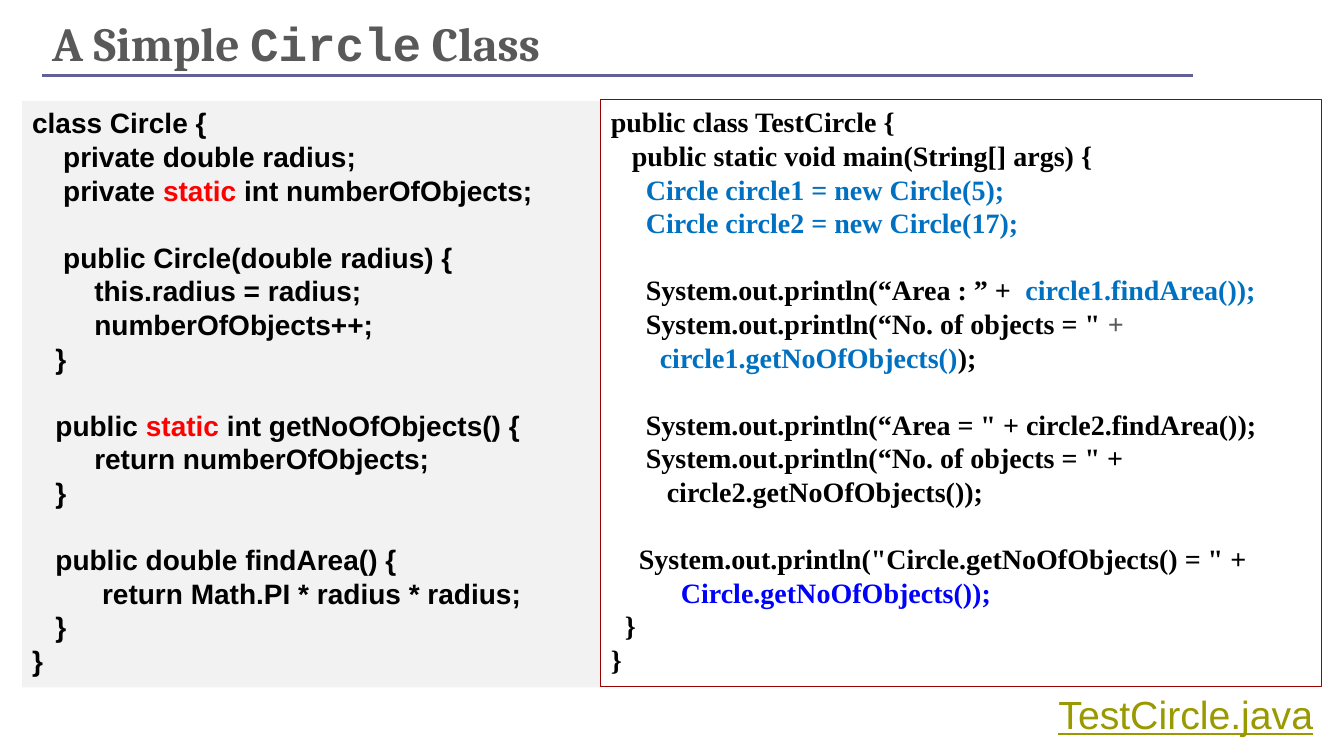
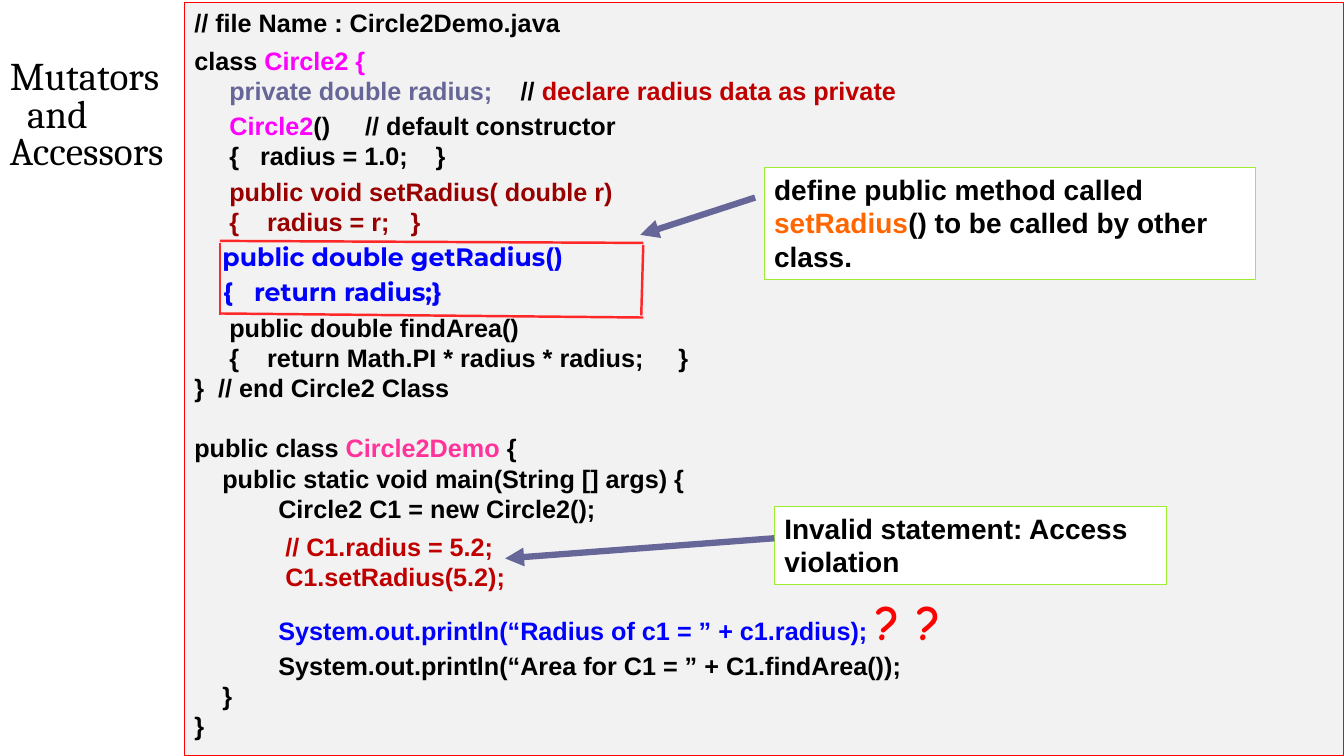
import pptx
import pptx.dml.color
import pptx.enum.shapes
import pptx.enum.text
import pptx.oxml.ns
import pptx.util
import lxml.etree

Inches = pptx.util.Inches
Pt = pptx.util.Pt
Anchor = pptx.enum.text.MSO_ANCHOR

BLACK, WHITE, GREY, PANEL = "000000", "FFFFFF", "595959", "F2F2F2"
RED, DARK_RED, CRIMSON = "FF0000", "990000", "C00000"
BLUE, SKY, SLATE, MAGENTA = "0000FF", "0070C0", "666699", "FF00FF"
LIME = "9DED33"


def rgb(value):
    return pptx.dml.color.RGBColor.from_string(value)


def add_panel(slide, at, lines, face, size, fill=None, outline=None,
              bold=True, anchor=Anchor.TOP, spacing=None):
    place = [Inches(value) for value in at]
    if fill or outline:
        panel = slide.shapes.add_shape(pptx.enum.shapes.MSO_SHAPE.RECTANGLE, *place)
        panel.shadow.inherit = False
        if fill:
            panel.fill.solid()
            panel.fill.fore_color.rgb = rgb(fill)
        else:
            panel.fill.background()
        if outline:
            panel.line.color.rgb = rgb(outline)
            panel.line.width = Pt(0.75)
        else:
            panel.line.fill.background()
    else:
        panel = slide.shapes.add_textbox(*place)
    frame = panel.text_frame
    frame.word_wrap = True
    frame.vertical_anchor = anchor
    for number, (gap, *parts) in enumerate(lines):
        paragraph = frame.add_paragraph() if number else frame.paragraphs[0]
        paragraph.alignment = pptx.enum.text.PP_ALIGN.LEFT
        if gap:
            paragraph.space_before = Pt(gap)
        if spacing:
            paragraph.line_spacing = spacing
        paragraph.font.bold = bold
        styles = [(colour, *(special or (face, size))) for _, colour, *special in parts]
        fonts = [paragraph.font]
        if len(set(styles)) > 1:
            fonts = []
        for (text, *_), style in zip(parts, styles):
            run = paragraph.add_run()
            run.text = text
            if len(set(styles)) > 1:
                fonts.append(run.font)
        for font, (colour, name, points) in zip(fonts, styles):
            font.name = name
            font.size = Pt(points)
            font.color.rgb = rgb(colour)
    return panel


deck = pptx.Presentation()
deck.slide_width = Inches(13.33)
deck.slide_height = Inches(7.5)
circle_slide, accessor_slide = [deck.slides.add_slide(deck.slide_layouts[6]) for _ in range(2)]

LINE_20 = 24
LINE_18 = 21.5

add_panel(circle_slide, (0.42, 0.08, 8.5, 0.67), [
    (0, ("A Simple ", GREY), ("Circle", GREY, "Courier New", 34), (" Class", GREY)),
], "Cambria", 34, anchor=Anchor.BOTTOM, spacing=0.8)

file_label = add_panel(circle_slide, (10.4, 6.8, 2.86, 0.57), [
    (0, ("TestCircle.java", "999900")),
], "Arial", 28, bold=False)
file_label.text_frame.paragraphs[0].font.underline = True

add_panel(circle_slide, (0.22, 1, 5.74, 5.82), [
    (0, ("class Circle {", BLACK)),
    (0, ("    private double radius;", BLACK)),
    (0, ("    private ", BLACK), ("static", RED), (" int numberOfObjects;", BLACK)),
    (LINE_20, ("    public Circle(double radius) {", BLACK)),
    (0, ("        this.radius = radius;", BLACK)),
    (0, ("        numberOfObjects++;", BLACK)),
    (0, ("   }", BLACK)),
    (LINE_20, ("   public ", BLACK), ("static", RED), (" int getNoOfObjects() {", BLACK)),
    (0, ("        return numberOfObjects;", BLACK)),
    (0, ("   }", BLACK)),
    (LINE_20, ("   public double findArea() {", BLACK)),
    (0, ("         return Math.PI * radius * radius;", BLACK)),
    (0, ("   }", BLACK)),
    (0, ("}", BLACK)),
], "Arial", 20, fill=PANEL)

add_panel(circle_slide, (5.96, 0.99, 7.15, 5.82), [
    (0, ("public class TestCircle {", BLACK)),
    (0, ("   public static void main(String[] args) {", BLACK)),
    (0, ("     Circle circle1 = new Circle(5);", SKY)),
    (0, ("     Circle circle2 = new Circle(17);", SKY)),
    (LINE_20, ("     System.out.println(“Area : ” +  ", BLACK), ("circle1.findArea());", SKY)),
    (0, ("     System.out.println(“No. of objects = \" ", BLACK), ("+", GREY)),
    (0, ("       circle1.getNoOfObjects()", SKY), (");", BLACK)),
    (LINE_20, ("     System.out.println(“Area = \" + circle2.findArea());", BLACK)),
    (0, ("     System.out.println(“No. of objects = \" +", BLACK)),
    (0, ("        circle2.getNoOfObjects());", BLACK)),
    (LINE_20, ("    System.out.println(\"Circle.getNoOfObjects() = \" +", BLACK)),
    (0, ("          Circle.getNoOfObjects());", BLUE)),
    (0, ("  }", BLACK)),
    (0, ("}", BLACK)),
], "Times New Roman", 20, outline=DARK_RED)

heading = add_panel(accessor_slide, (0, 0.02, 2.36, 2.28), [
    (0, ("Mutators", BLACK)),
    (0, ("and", BLACK)),
    (0, ("Accessors", BLACK)),
], "Cambria", 28, bold=False, anchor=Anchor.MIDDLE, spacing=0.8)
heading.text_frame.paragraphs[1]._p.get_or_add_pPr().set("marL", str(Inches(0.17)))

add_panel(accessor_slide, (1.83, 0.02, 11.5, 7.48), [
    (0, ("// file Name : Circle2Demo.java", BLACK)),
    (5.4, ("class ", BLACK), ("Circle2 {", MAGENTA)),
    (0, ("     private double radius;", SLATE), ("    // ", BLACK),
     ("declare radius data as private", CRIMSON)),
    (3.6, ("     Circle2", MAGENTA), ("()     // default constructor", BLACK)),
    (0, ("     {   radius = 1.0;    }", BLACK)),
    (3.6, ("     public void setRadius( double r)", DARK_RED)),
    (0, ("     {    radius = r;   }", DARK_RED)),
    (3.6, ("    ", BLUE), ("public double getRadius()", BLUE, "Montserrat", 18)),
    (3.6, ("    {   return radius;}", BLUE, "Montserrat", 18)),
    (3.6, ("     public double findArea()", BLACK)),
    (0, ("     {    return Math.PI * radius * radius;     }", BLACK)),
    (0, ("}  // end Circle2 Class", BLACK)),
    (LINE_18, ("public class ", BLACK), ("Circle2Demo", "FF3399"), (" {", BLACK)),
    (0, ("    public static void main(String [] args) {", BLACK)),
    (0, ("            Circle2 C1 = new Circle2();", BLACK)),
    (5.4, ("             // C1.radius = 5.2;", CRIMSON)),
    (0, ("             C1.setRadius(5.2);", CRIMSON)),
    (0, ("            System.out.println(“Radius of c1 = ” + c1.radius); ", BLUE),
     ("? ?", RED, "Comic Neue", 35)),
    (0, ("            System.out.println(“Area for C1 = ” + C1.findArea());", BLACK)),
    (0, ("    }", BLACK)),
    (0, ("}", BLACK)),
], "Arial", 18, fill=PANEL, outline=RED)

add_panel(accessor_slide, (7.58, 1.66, 4.87, 1.11), [
    (0, ("define public method called ", BLACK), ("setRadius", "FF6600"),
     ("() to be called by other class.", BLACK)),
], "Arial", 20, fill=WHITE, outline=LIME)

add_panel(accessor_slide, (7.68, 5.02, 3.89, 0.78), [
    (0, ("Invalid statement: Access violation", BLACK)),
], "Arial", 20, fill=WHITE, outline=LIME)

title_rule = ("616196", 2.5, False)
callout_arrow = (SLATE, 4.5, True)
getter_frame = ("FF2728", 1.75, False)
for slide, ends, (colour, width, pointed) in [
    (circle_slide, (0.42, 0.75, 11.83, 0.75), title_rule),
    (accessor_slide, (7.49, 1.96, 6.35, 2.33), callout_arrow),
    (accessor_slide, (7.68, 5.34, 5.01, 5.54), callout_arrow),
    (accessor_slide, (2.18, 2.39, 6.38, 2.41), getter_frame),
    (accessor_slide, (2.18, 3.11, 6.38, 3.15), getter_frame),
    (accessor_slide, (6.38, 2.43, 6.36, 3.13), getter_frame),
    (accessor_slide, (2.18, 2.41, 2.18, 3.13), getter_frame),
]:
    stroke = slide.shapes.add_connector(
        pptx.enum.shapes.MSO_CONNECTOR.STRAIGHT, *[Inches(value) for value in ends])
    stroke.line.color.rgb = rgb(colour)
    stroke.line.width = Pt(width)
    if pointed:
        lxml.etree.SubElement(stroke.line._get_or_add_ln(),
                              pptx.oxml.ns.qn("a:tailEnd"), type="triangle")
    lxml.etree.SubElement(stroke._element.spPr, pptx.oxml.ns.qn("a:effectLst"))

deck.save("out.pptx")
